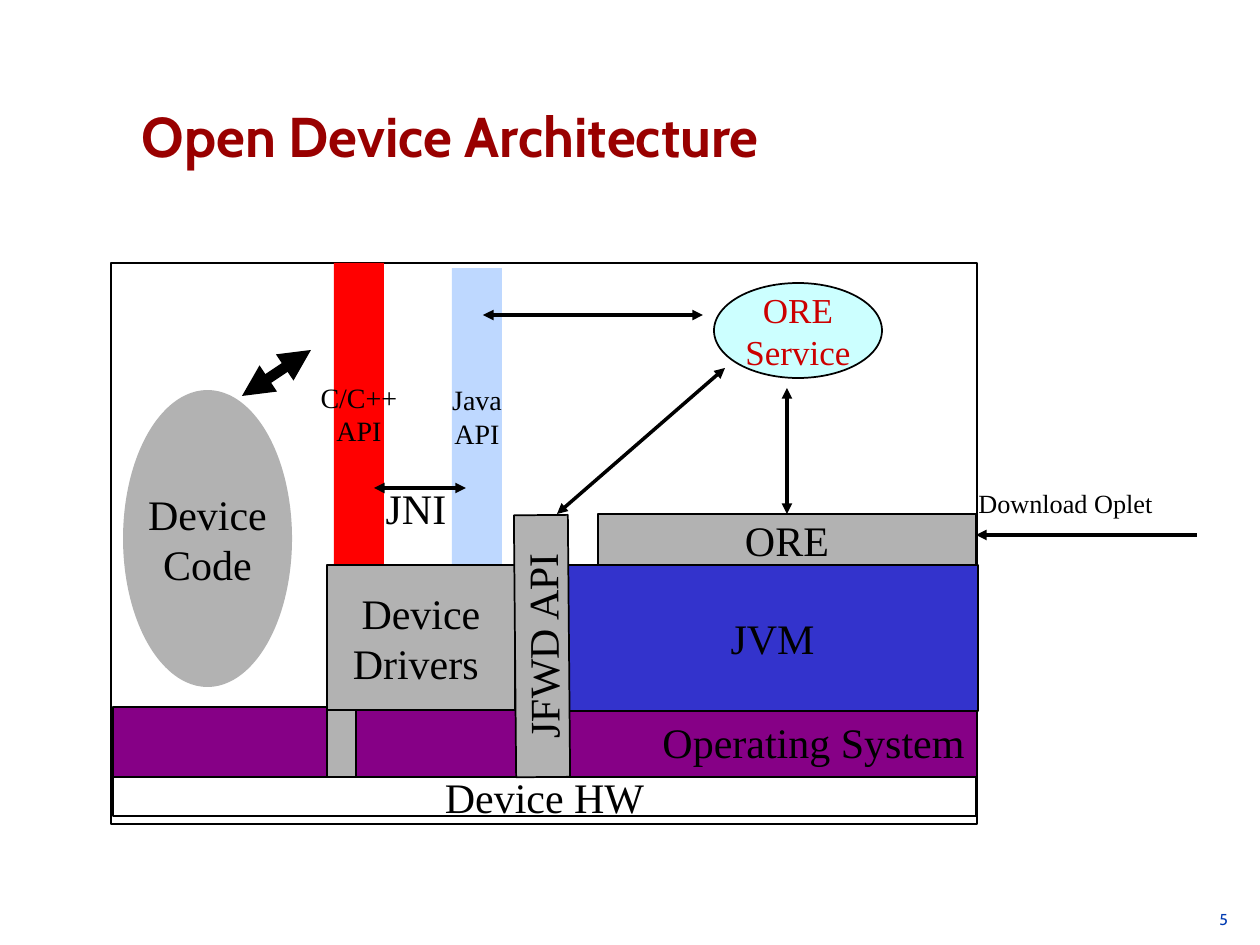
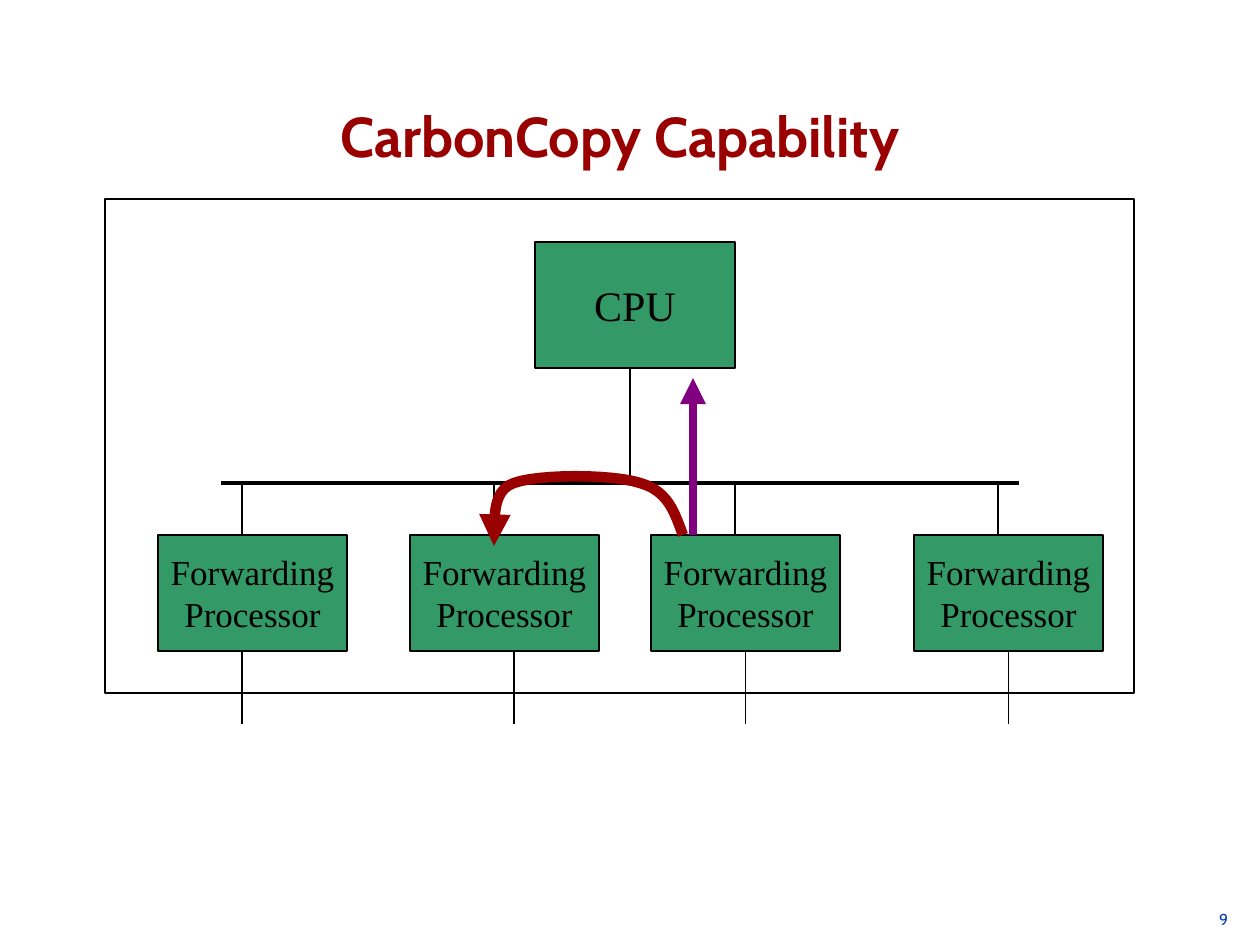
from dataclasses import dataclass
from lxml.etree import SubElement
from pptx import Presentation
from pptx.dml.color import RGBColor
from pptx.enum.shapes import MSO_CONNECTOR, MSO_SHAPE
from pptx.enum.text import MSO_ANCHOR, PP_ALIGN
from pptx.oxml.ns import qn
from pptx.slide import Slide
from pptx.util import Emu, Pt

SCALE = 914400 / 126
BLACK = RGBColor(0x00, 0x00, 0x00)
MAROON = RGBColor(0x99, 0x00, 0x00)
NAVY = RGBColor(0x00, 0x3B, 0xB2)
GRAY = RGBColor(0xB2, 0xB2, 0xB2)
PLUM = RGBColor(0x86, 0x00, 0x86)
PURPLE = RGBColor(0x80, 0x00, 0x80)
BLUE = RGBColor(0x33, 0x33, 0xCC)
SKY = RGBColor(0xBE, 0xD8, 0xFF)
CYAN = RGBColor(0xCC, 0xFF, 0xFF)
RED = RGBColor(0xFF, 0x00, 0x00)
CRIMSON = RGBColor(0xCC, 0x00, 0x00)
GREEN = RGBColor(0x33, 0x99, 0x66)
HEAD, SERIF = "Cabin", "Times New Roman"
RECT, OVAL = MSO_SHAPE.RECTANGLE, MSO_SHAPE.OVAL


def px(num):
    """Turn px into EMU."""
    return Emu(round(num * SCALE))


def write(shape, text, size, color=BLACK, align=PP_ALIGN.CENTER, font=SERIF,
          bold=False, anchor=MSO_ANCHOR.MIDDLE, wrap=False):
    """Write one paragraph per line of text and return the frame."""
    frame = shape.text_frame
    frame.word_wrap = wrap
    frame.vertical_anchor = anchor
    for num, line in enumerate(text.split("\n")):
        para = frame.add_paragraph() if num else frame.paragraphs[0]
        para.text = line
        para.alignment = align
        para.font.name, para.font.size = font, Pt(size)
        para.font.bold, para.font.color.rgb = bold, color
    return frame


def inset(frame, side, edge):
    """Set the side and edge margins of a frame."""
    frame.margin_left = frame.margin_right = px(side)
    frame.margin_top = frame.margin_bottom = px(edge)


def ink(shape, color, width, ends=""):
    """Colour a line and put triangles on the named ends."""
    shape.line.color.rgb = color
    shape.line.width = Pt(width)
    for end in ends.split():
        SubElement(shape.line._get_or_add_ln(), qn(f"a:{end}End"), type="triangle")


@dataclass
class Region:
    """A part of a slide that places things from its own corner."""
    slide: Slide
    left: int
    top: int
    width: int
    height: int

    def spot(self, x, y):
        """Give the slide place of a point."""
        return px(self.left + x), px(self.top + y)

    def block(self, x, y, w, h, fill=None, text="", size=24, edge=1,
              kind=RECT, **style):
        """Add a filled and labelled shape."""
        shape = self.slide.shapes.add_shape(kind, *self.spot(x, y), px(w), px(h))
        shape.shadow.inherit = False
        if fill is None:
            shape.fill.background()
        else:
            shape.fill.solid()
            shape.fill.fore_color.rgb = fill
        if edge:
            ink(shape, BLACK, edge)
        else:
            shape.line.fill.background()
        if text:
            write(shape, text, size, **style)
        return shape

    def frame(self, edge):
        """Outline the whole region."""
        self.block(0, 0, self.width, self.height, edge=edge)

    def label(self, x, y, w, h, text, size, **style):
        """Add a text box and return its frame."""
        box = self.slide.shapes.add_textbox(*self.spot(x, y), px(w), px(h))
        return write(box, text, size, **style)

    def wire(self, x, y, end_x, end_y, width=1, ends="", color=BLACK):
        """Add a straight line."""
        line = self.slide.shapes.add_connector(
            MSO_CONNECTOR.STRAIGHT, *self.spot(x, y), *self.spot(end_x, end_y))
        ink(line, color, width, ends)
        SubElement(line._element.spPr, qn("a:effectLst"))
        return line

    def curve(self, start, bends, last, color, width):
        """Add an arrow through cubic bends to a last point."""
        dots, here = [], start
        for bend in bends:
            ctrl = (here, *bend)
            for step in range(1, 13):
                t = step / 12
                mix = ((1 - t) ** 3, 3 * t * (1 - t) ** 2, 3 * t * t * (1 - t), t ** 3)
                dots.append([sum(m * c[axis] for m, c in zip(mix, ctrl))
                             for axis in (0, 1)])
            here = bend[-1]
        form = self.slide.shapes.build_freeform(*self.spot(*start))
        form.add_line_segments([self.spot(*dot) for dot in [*dots, last]], close=False)
        shape = form.convert_to_shape()
        shape.shadow.inherit = False
        shape.fill.background()
        ink(shape, color, width, "tail")


def base(deck, title, page, align):
    """Add a slide with its title and page number."""
    slide = deck.slides.add_slide(deck.slide_layouts[6])
    whole = Region(slide, 0, 0, 1260, 945)
    foot = whole.label(848, 910, 391, 21, page, 9, color=NAVY, align=PP_ALIGN.RIGHT,
                       font=HEAD, anchor=MSO_ANCHOR.TOP, wrap=True)
    inset(foot, 11, 0)
    head = whole.label(136, 84, 968, 92, title, 32, color=MAROON, align=align,
                       font=HEAD, bold=True, anchor=MSO_ANCHOR.BOTTOM, wrap=True)
    inset(head, 6, 6)
    head.paragraphs[0].line_spacing = 0.93
    return slide


def stack(area):
    """Draw the layers of the open device."""
    both = "head tail"
    area.frame(1)
    area.block(2, 514, 863, 39, text="Device HW")
    area.block(2, 444, 864, 70, PLUM, "Operating System", align=PP_ALIGN.RIGHT)
    area.block(456, 302, 411, 146, BLUE, "JVM")
    area.block(603, 20, 168, 95, CYAN, "ORE\nService", 20, kind=OVAL, color=CRIMSON)
    area.block(223, 0, 50, 302, RED, "C/C++\nAPI", 16, edge=0)
    area.block(341, 5, 50, 297, SKY, "Java\nAPI", 16, edge=0)
    area.wire(131, 133, 200, 87, 6, both)
    area.wire(372, 52, 592, 52, 2, both)
    area.wire(263, 225, 355, 225, 2, both)
    area.wire(614, 105, 446, 251, 2, both)
    area.block(12, 127, 169, 297, GRAY, "Device\nCode", edge=0, kind=OVAL)
    ore = area.block(487, 251, 378, 51, GRAY, "ORE")
    area.block(216, 302, 188, 145, GRAY, "Device\nDrivers ")
    area.label(262, 213, 86, 63, "JNI", 24, anchor=MSO_ANCHOR.TOP)
    area.block(216, 447, 29, 67, GRAY)
    area.block(300, 356, 262, 54, GRAY, "JFWD API").rotation = 269.5
    area.wire(865, 272, 1086, 272, 2, "head")
    area.label(855, 218, 199, 44, "Download Oplet", 15)
    area.wire(676, 125, 676, 251, 2, both).end_connect(ore, 0)


def network(area):
    """Draw the processors on their shared bus."""
    bus, top, high = 284, 336, 116
    area.frame(0.75)
    area.wire(116, bus, 914, bus, 2)
    area.block(430, 43, 200, 126, GREEN, "CPU", edge=0.75)
    area.wire(525, 169, 525, bus)
    for left, drop, port in ((53, 137, 137), (305, 389, 409),
                             (546, 630, None), (809, 893, None)):
        node = area.block(left, top, 189, high, GREEN, "Forwarding\nProcessor", 20, 0.75)
        area.wire(drop, bus, drop, top)
        foot = port or left + 94
        line = area.wire(foot, top + high, foot, 525)
        if port is None:
            line.begin_connect(node, 2)
            line.end_x = line.begin_x
    area.wire(588, top, 588, 179, 5, "tail", PURPLE)
    bends = (((570, 315), (564, 292), (535, 284)),
             ((507, 275), (434, 275), (409, 284)),
             ((385, 292), (391, 326), (389, 336)))
    area.curve((578, top), bends, (389, 347), MAROON, 6)


def main():
    """Build both slides."""
    deck = Presentation()
    deck.slide_width, deck.slide_height = px(1260), px(945)
    slide = base(deck, "Open Device Architecture", "5", PP_ALIGN.LEFT)
    stack(Region(slide, 111, 263, 866, 561))
    slide = base(deck, "CarbonCopy Capability", "9", PP_ALIGN.CENTER)
    network(Region(slide, 105, 199, 1029, 494))
    deck.save("out.pptx")


if __name__ == "__main__":
    main()
